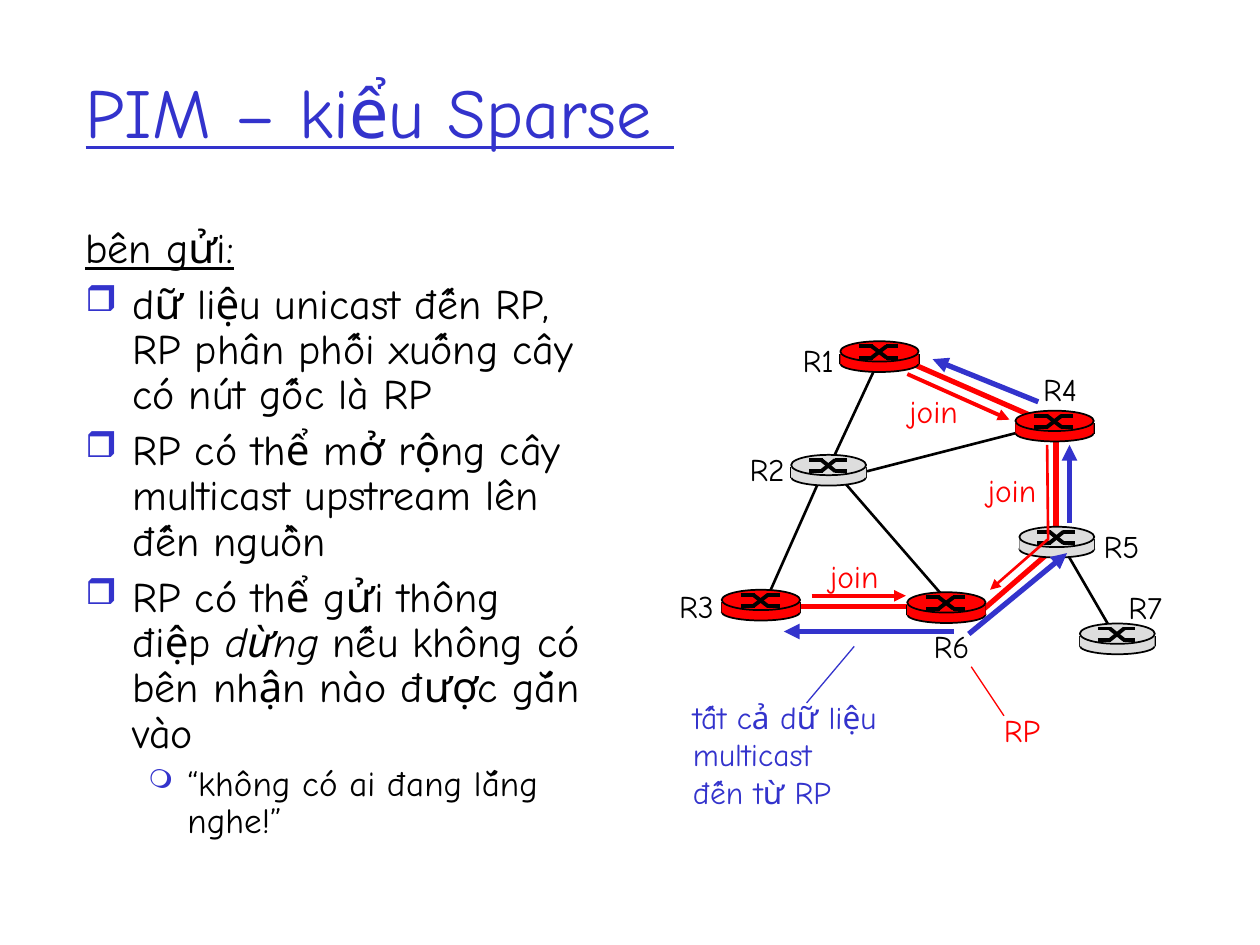
from lxml.etree import SubElement
from pptx import Presentation
from pptx.dml.color import RGBColor
from pptx.enum.shapes import MSO_CONNECTOR, MSO_SHAPE
from pptx.enum.text import MSO_ANCHOR, MSO_AUTO_SIZE, PP_ALIGN
from pptx.oxml.ns import qn
from pptx.util import Cm, Pt

FONT = "Comic Neue"
BLACK, RED, BLUE, GREY = "000000", "FF0000", "3333CC", "DDDDDD"

TITLE = "PIM – kiểu Sparse "

# Kind of paragraph, then its spans as (text, italic)
BODY = [
    ("heading", [("bên gửi:", False)]),
    ("point", [("dữ liệu unicast đến RP, RP phân phối xuống cây có nút gốc là RP", False)]),
    ("point", [("RP có thể mở rộng cây multicast upstream lên đến nguồn", False)]),
    ("point", [("RP có thể gửi thông điệp ", False), ("dừng", True),
               (" nếu không có bên nhận nào được gắn vào", False)]),
    ("detail", [("“không có ai đang lắng nghe!”", False)]),
]
# Level, size, space before, left margin, indent, bullet, bullet size in percent
BODY_STYLES = {
    "heading": (0, 24, 6, 0.95, -0.95, None, None),
    "point": (0, 24, 6, 0.95, -0.95, "❒", 85),
    "detail": (1, 20, 5, 2.06, -0.79, "❍", 75),
}

# Start, end, colour, width in points; all places are in centimetres
LINKS = [
    ((21.36, 10.90), (22.48, 12.83), BLACK, 1.5),
    ((17.48, 9.50), (21.26, 8.53), BLACK, 1.5),
    ((16.74, 9.40), (19.10, 12.12), BLACK, 1.5),
    ((18.36, 7.32), (21.13, 8.53), RED, 3),
    ((19.84, 12.27), (21.34, 10.97), RED, 3),
    ((21.29, 8.81), (21.29, 10.82), RED, 3),
    ((15.82, 12.22), (18.69, 12.22), RED, 3),
    ((16.51, 9.70), (15.47, 12.04), BLACK, 1.5),
    ((17.68, 7.34), (16.71, 9.42), BLACK, 1.5),
]
ARROWS = [
    ((16.36, 12.01), (18.26, 12.01), RED, 2.25),
    ((18.29, 7.54), (20.35, 8.46), RED, 2.25),
    ((19.23, 12.73), (15.80, 12.73), BLUE, 3),
    ((19.53, 12.78), (21.51, 11.15), BLUE, 3),
    ((21.56, 10.54), (21.56, 8.97), BLUE, 3),
    ((20.93, 8.10), (18.80, 7.24), BLUE, 3),
]
POINTERS = [
    ((16.26, 14.17), (17.22, 13.03), BLUE, 0.75),
    ((19.58, 13.44), (20.24, 14.43), RED, 0.75),
]
JOIN_PATH = [(21.11, 8.97), (21.13, 10.87), (19.96, 11.89)]

# Left, top, width, colour
ROUTERS = [
    (18.29, 11.94, 1.58, RED),
    (20.47, 8.28, 1.58, RED),
    (14.55, 11.89, 1.58, RED),
    (20.55, 10.62, 1.51, GREY),
    (15.95, 9.17, 1.51, GREY),
    (16.94, 6.88, 1.58, RED),
    (21.77, 12.57, 1.51, GREY),
]
# Strokes of the switching symbol: x as a share of the width, y down from the top
CROSS_HIGH, CROSS_LOW = 0.10, 0.33
CROSS = [
    (0.24, CROSS_HIGH, 0.42, CROSS_HIGH), (0.58, CROSS_LOW, 0.74, CROSS_LOW),
    (0.40, CROSS_HIGH, 0.59, CROSS_LOW), (0.24, CROSS_LOW, 0.42, CROSS_LOW),
    (0.58, CROSS_HIGH, 0.74, CROSS_HIGH), (0.40, CROSS_LOW, 0.59, CROSS_HIGH),
]

# Lines of text, left, top, width, height, colour
NAME_SIZE, JOIN_SIZE = (1.4, 1.02), (1.7, 1.02)
LABELS = [
    (["R1"], 15.93, 6.76, *NAME_SIZE, BLACK),
    (["R2"], 14.86, 8.94, *NAME_SIZE, BLACK),
    (["R3"], 13.44, 11.71, *NAME_SIZE, BLACK),
    (["R4"], 20.78, 7.34, *NAME_SIZE, BLACK),
    (["R5"], 22.00, 10.49, *NAME_SIZE, BLACK),
    (["R6"], 18.57, 12.52, *NAME_SIZE, BLACK),
    (["R7"], 22.50, 11.73, *NAME_SIZE, BLACK),
    (["join"], 19.66, 9.37, *JOIN_SIZE, RED),
    (["join"], 18.08, 7.77, *JOIN_SIZE, RED),
    (["join"], 16.48, 11.10, *JOIN_SIZE, RED),
    (["RP"], 19.99, 14.20, *NAME_SIZE, RED),
    (["tất cả dữ liệu multicast", "đến từ RP"], 13.72, 13.94, 4.67, 2.54, BLUE),
]


def color(hex_code):
    return RGBColor.from_string(hex_code)


def set_font(paragraph, size, hex_code, underline=None):
    font = paragraph.font
    font.name, font.size, font.underline = FONT, Pt(size), underline
    font.color.rgb = color(hex_code)


def set_line(shape, hex_code, width, arrow=False):
    shape.line.color.rgb = color(hex_code)
    shape.line.width = Pt(width)
    if arrow:
        SubElement(shape.line._get_or_add_ln(), qn("a:tailEnd"), type="triangle")


def add_line(shapes, start, end, hex_code, width, arrow=False):
    line = shapes.add_connector(MSO_CONNECTOR.STRAIGHT, *map(Cm, start + end))
    set_line(line, hex_code, width, arrow)
    SubElement(line._element.spPr, qn("a:effectLst"))


def add_solid(shapes, kind, left, top, width, height, fill, outlined=True):
    solid = shapes.add_shape(kind, Cm(left), Cm(top), Cm(width), Cm(height))
    solid.shadow.inherit = False
    solid.fill.solid()
    solid.fill.fore_color.rgb = color(fill)
    if outlined:
        set_line(solid, BLACK, 1)
    else:
        solid.line.fill.background()


def add_router(slide, left, top, width, fill):
    """Draw a flat cylinder with the switching symbol on its lid."""
    parts = slide.shapes.add_group_shape().shapes
    add_solid(parts, MSO_SHAPE.OVAL, left, top + 0.28, width, 0.34, fill)
    for side in (left, left + width):
        add_line(parts, (side, top + 0.25), (side, top + 0.46), BLACK, 1)
    add_solid(parts, MSO_SHAPE.RECTANGLE, left, top + 0.25, width, 0.21, fill, False)
    add_solid(parts, MSO_SHAPE.OVAL, left, top, width, 0.41, fill)
    for x1, y1, x2, y2 in CROSS:
        add_line(parts, (left + x1 * width, top + y1),
                 (left + x2 * width, top + y2), BLACK, 2.25)


def add_label(slide, lines, left, top, width, height, hex_code):
    box = slide.shapes.add_textbox(Cm(left), Cm(top), Cm(width), Cm(height))
    frame = box.text_frame
    frame.word_wrap = True
    frame.auto_size = MSO_AUTO_SIZE.SHAPE_TO_FIT_TEXT
    frame.text = "\n".join(lines)
    for paragraph in frame.paragraphs:
        set_font(paragraph, 18, hex_code)


def add_bullet(properties, symbol, percent):
    bullet_color = SubElement(properties, qn("a:buClr"))
    SubElement(bullet_color, qn("a:srgbClr"), val=BLUE)
    SubElement(properties, qn("a:buSzPct"), val=str(percent * 1000))
    SubElement(properties, qn("a:buChar"), char=symbol)


def add_title(slide):
    title = slide.shapes.title
    title.left, title.top, title.width, title.height = map(Cm, (1.47, 0.64, 21.59, 3.18))
    frame = title.text_frame
    frame.text = TITLE
    frame.vertical_anchor = MSO_ANCHOR.MIDDLE
    frame.auto_size = MSO_AUTO_SIZE.NONE
    frame.paragraphs[0].alignment = PP_ALIGN.LEFT
    set_font(frame.paragraphs[0], 40, BLUE, underline=True)


def add_body(slide):
    frame = slide.shapes.add_textbox(Cm(1.47), Cm(4.45), Cm(10.59), Cm(12.9)).text_frame
    frame.word_wrap = True
    for index, (kind, spans) in enumerate(BODY):
        level, size, before, margin, indent, symbol, percent = BODY_STYLES[kind]
        paragraph = frame.add_paragraph() if index else frame.paragraphs[0]
        properties = paragraph._p.get_or_add_pPr()
        properties.set("marL", str(Cm(margin)))
        properties.set("indent", str(Cm(indent)))
        if symbol:
            add_bullet(properties, symbol, percent)
        paragraph.level = level
        paragraph.line_spacing = 0.9
        paragraph.space_before = Pt(before)
        set_font(paragraph, size, BLACK, underline=kind == "heading")
        for text, italic in spans:
            span = paragraph.add_run()
            span.text = text
            if italic:
                span.font.italic = True


def add_join_path(slide):
    start, *rest = [(Cm(x), Cm(y)) for x, y in JOIN_PATH]
    builder = slide.shapes.build_freeform(*start)
    builder.add_line_segments(rest, close=False)
    path = builder.convert_to_shape()
    path.shadow.inherit = False
    path.fill.background()
    set_line(path, RED, 1.5, arrow=True)


def main():
    deck = Presentation()
    deck.slide_width, deck.slide_height = Cm(25.4), Cm(19.05)
    slide = deck.slides.add_slide(deck.slide_layouts[5])
    add_title(slide)
    add_body(slide)
    for link in LINKS:
        add_line(slide.shapes, *link)
    for router in ROUTERS:
        add_router(slide, *router)
    add_join_path(slide)
    for arrow in ARROWS:
        add_line(slide.shapes, *arrow, arrow=True)
    for label in LABELS:
        add_label(slide, *label)
    for pointer in POINTERS:
        add_line(slide.shapes, *pointer)
    deck.save("out.pptx")


if __name__ == "__main__":
    main()
